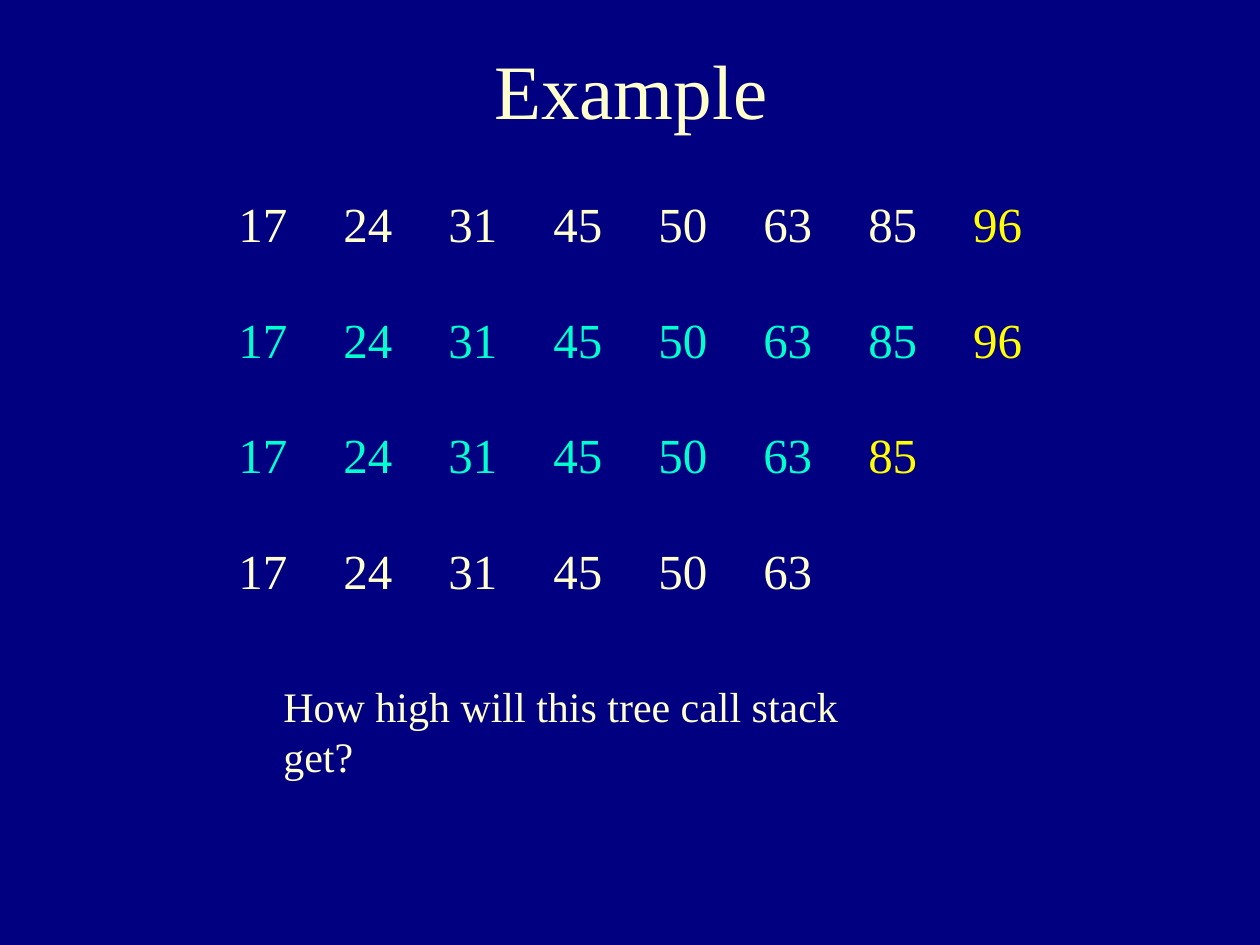
from pptx import Presentation
from pptx.dml.color import RGBColor
from pptx.enum.text import MSO_ANCHOR, PP_ALIGN
from pptx.oxml.ns import qn
from pptx.util import Inches, Pt

NAVY = RGBColor(0x00, 0x00, 0x80)
CREAM = RGBColor(0xFF, 0xFF, 0xCC)
AQUA = RGBColor(0x00, 0xFF, 0xCC)
YELLOW = RGBColor(0xFF, 0xFF, 0x00)
FONT = "Times New Roman"
NO_GRID_STYLE = "{2D5ABB26-0587-4C30-8999-92F81FD0307C}"

TITLE = "Example"
QUESTION = "How high will this tree call stack get?"
NUMBERS = [17, 24, 31, 45, 50, 63, 85, 96]
# count of numbers, base colour, whether the last number is highlighted
STEPS = [(8, CREAM, True), (8, AQUA, True), (7, AQUA, True), (6, CREAM, False)]

LEFT, TOP, STEP_PITCH = 1.67, 1.53, 0.917
CELL_W, CELL_H = 5 / 6, 0.64


def write(tf, text, size, color, align):
    tf.text = text
    p = tf.paragraphs[0]
    p.alignment = align
    font = p.runs[0].font
    font.name, font.size, font.color.rgb = FONT, Pt(size), color


def add_label(slide, text, box, size, align, wrap):
    tf = slide.shapes.add_textbox(*map(Inches, box)).text_frame
    tf.word_wrap = wrap
    tf.vertical_anchor = MSO_ANCHOR.MIDDLE
    write(tf, text, size, CREAM, align)


def add_step(slide, top, count, color, highlight_last):
    frame = slide.shapes.add_table(
        1, count, Inches(LEFT), Inches(top), Inches(count * CELL_W), Inches(CELL_H))
    table = frame.table
    table.first_row = table.horz_banding = False
    next(frame.element.iter(qn("a:tableStyleId"))).text = NO_GRID_STYLE
    for col, number in enumerate(NUMBERS[:count]):
        table.columns[col].width = Inches(CELL_W)
        cell = table.cell(0, col)
        cell.fill.background()
        is_pivot = highlight_last and col == count - 1
        write(cell.text_frame, str(number), 28, YELLOW if is_pivot else color,
              PP_ALIGN.CENTER)


prs = Presentation()
prs.slide_width, prs.slide_height = Inches(10), Inches(7.5)
s = prs.slides.add_slide(prs.slide_layouts[6])
s.background.fill.solid()
s.background.fill.fore_color.rgb = NAVY

add_label(s, TITLE, (0.15, 0.29, 9.72, 0.83), 44, PP_ALIGN.CENTER, True)
for i, step in enumerate(STEPS):
    add_step(s, TOP + i * STEP_PITCH, *step)
add_label(s, QUESTION, (2.15, 5.55, 5.24, 0.5), 24, PP_ALIGN.LEFT, False)

prs.save("out.pptx")
